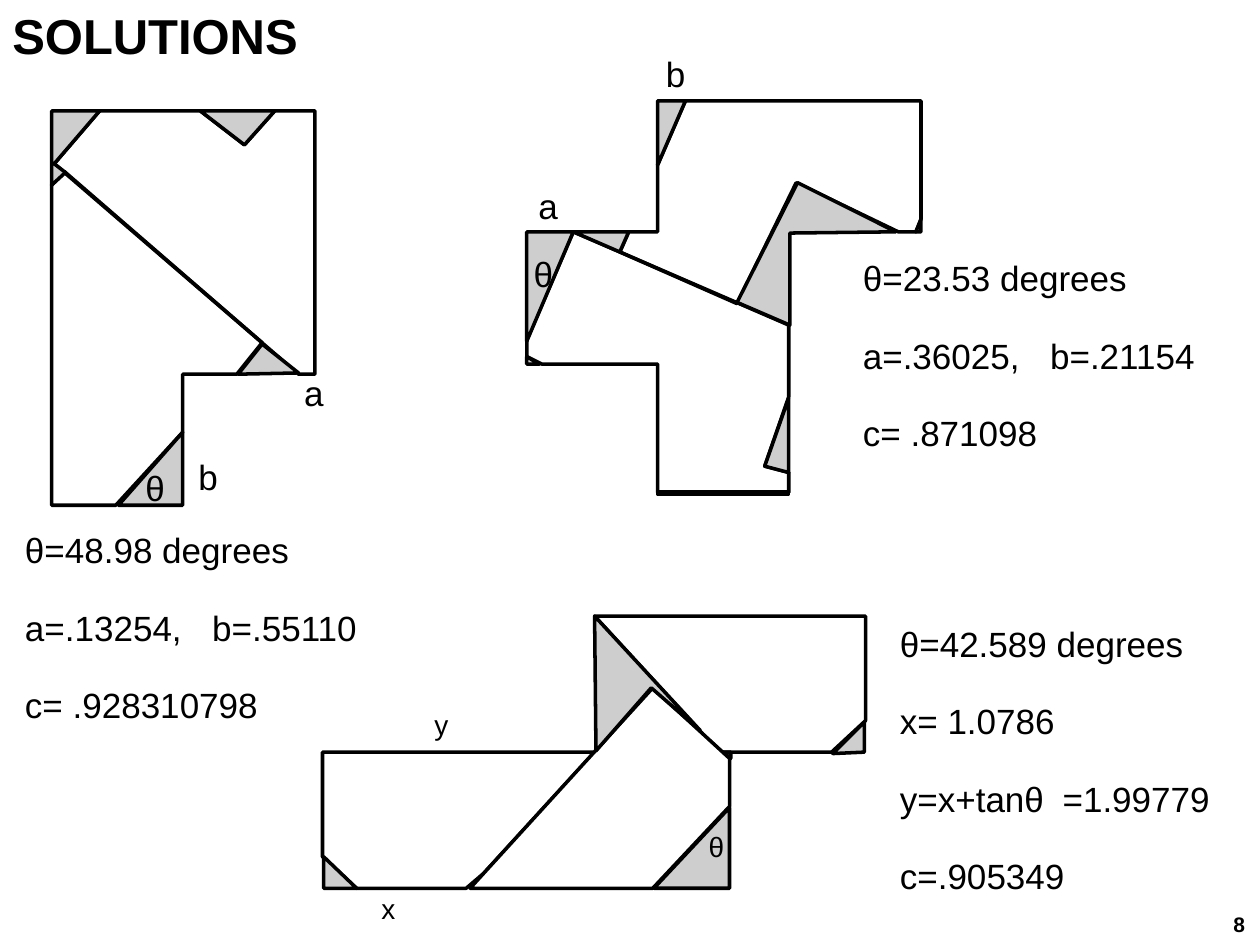
from dataclasses import dataclass

from lxml.etree import SubElement
from pptx import Presentation
from pptx.dml.color import RGBColor
from pptx.enum.text import MSO_ANCHOR, MSO_AUTO_SIZE, PP_ALIGN
from pptx.oxml.ns import qn
from pptx.util import Pt


@dataclass(frozen=True)
class Theme:
    font: str = "Arial"
    ink: RGBColor = RGBColor(0x00, 0x00, 0x00)
    paper: RGBColor = RGBColor(0xFF, 0xFF, 0xFF)
    overlap: RGBColor = RGBColor(0xCE, 0xCE, 0xCE)
    title: int = 28
    body: int = 20
    small: int = 16
    number: int = 12


theme = Theme()
deck = Presentation()
deck.slide_width, deck.slide_height = Pt(720), Pt(540)
page = deck.slides.add_slide(deck.slide_layouts[6])


def add_text(text, left, top, width, height, size=theme.body, bold=False, inset=7.5, gap=0, tab=None):
    box = page.shapes.add_textbox(Pt(left), Pt(top), Pt(width), Pt(height))
    frame = box.text_frame
    frame.word_wrap = True
    frame.auto_size = MSO_AUTO_SIZE.NONE
    frame.vertical_anchor = MSO_ANCHOR.TOP
    frame.margin_left, frame.margin_right = Pt(inset), Pt(0)
    frame.margin_top = frame.margin_bottom = Pt(inset / 2)
    for index, line in enumerate(text.split("\n")):
        para = frame.add_paragraph() if index else frame.paragraphs[0]
        para.alignment = PP_ALIGN.LEFT
        para.line_spacing = 0.9
        para.space_before = Pt(gap if index else 0)
        if "\t" in line:
            stops = SubElement(para._p.get_or_add_pPr(), qn("a:tabLst"))
            SubElement(stops, qn("a:tab"), pos=str(Pt(tab)), algn="l")
        span = para.add_run()
        span.text = line
        span.font.name = theme.font
        span.font.size = Pt(size)
        span.font.bold = bold
        span.font.color.rgb = theme.ink


def add_polygon(points, fill):
    corners = [(Pt(x), Pt(y)) for x, y in points]
    builder = page.shapes.build_freeform(*corners[0])
    builder.add_line_segments(corners[1:], close=True)
    shape = builder.convert_to_shape()
    shape.shadow.inherit = False
    shape.line.color.rgb = theme.ink
    shape.line.width = Pt(2)
    if fill is None:
        shape.fill.background()
    else:
        shape.fill.solid()
        shape.fill.fore_color.rgb = fill


chair_pieces = [
    [(31, 93.6), (170.6, 213.8), (180, 213.8), (180, 63.4), (157, 63.4), (139.7, 82.8), (114.5, 63.4), (56.9, 63.4)],
    [(66.2, 288.7), (29.5, 288.7), (29.5, 105.8), (36.7, 97.9), (149.8, 195.8), (135.4, 213.8), (104.4, 213.8),
     (104.4, 247)],
]
chair_overlaps = [
    [(136.1, 213.8), (149.8, 196.6), (170.6, 213.1)],
    [(104.4, 288.7), (104.4, 247), (67.7, 288.7)],
    [(157, 63.4), (139.7, 82.8), (114.5, 63.4)],
    [(29.5, 105.8), (37.4, 98.6), (31, 93.6), (56.9, 63.4), (29.5, 63.4)],
]
cross_pieces = [
    [(375.8, 281.5), (450.7, 281.5), (450.7, 270), (437, 266.4), (450.7, 226.8), (450.7, 185.8), (327.6, 132.5),
     (301, 194.4), (301, 203.8), (309.6, 208.1), (375.8, 208.1)],
    [(354.2, 144), (359.3, 132.5), (375.8, 132.5), (375.8, 94.3), (391.7, 57.6), (526.3, 57.6), (526.3, 125.3),
     (523.4, 132.5), (513.4, 132.5), (455, 104.4), (421.2, 173.5)],
]
cross_overlaps = [
    [(375.8, 57.6), (391.7, 57.6), (375.8, 94.3)],
    [(327.6, 132.5), (354.2, 144), (359.3, 132.5)],
    [(301, 132.5), (327.6, 132.5), (301, 195.1)],
    [(301, 208.1), (308.2, 208.1), (301, 203.8)],
    [(375.8, 282.2), (450.7, 282.2), (450.7, 280.8), (375.8, 280.8)],
    [(450.7, 270), (437, 266.4), (450.7, 227.5)],
    [(451.4, 185.8), (421.2, 172.8), (455.8, 104.4), (511.9, 132.5), (451.4, 133.2)],
    [(526.3, 132.5), (526.3, 125.3), (523.4, 132.5)],
]
step_pieces = [
    [(494.6, 411.8), (475.2, 429.8), (412.6, 429.8), (403.2, 421.2), (339.8, 352.1), (494.6, 352.1)],
    [(184.3, 489.6), (203.8, 507.6), (266.4, 507.6), (276.5, 499), (339.8, 429.8), (184.3, 429.8)],
    [(416.9, 433.4), (373, 393.1), (268.6, 507.6), (373, 507.6), (416.9, 460.8)],
]
step_overlaps = [
    [(339.8, 352.1), (400.3, 417.6), (372.2, 393.1), (340.6, 429.1)],
    [(416.9, 461.5), (416.9, 507.6), (373.7, 507.6)],
    [(185, 507.6), (185, 489.6), (203.8, 507.6)],
    [(475.9, 430.6), (493.9, 429.8), (493.9, 412.6)],
    [(417.6, 433.4), (417.6, 429.8), (413.3, 429.8)],
]
for polygons, fill in [
    (chair_pieces, None),
    (chair_overlaps, theme.overlap),
    (cross_pieces, None),
    (cross_overlaps, theme.overlap),
    (step_pieces, theme.paper),
    (step_overlaps, theme.overlap),
]:
    for polygon in polygons:
        add_polygon(polygon, fill)

for label, left, top in [
    ("θ", 75.6, 265.7), ("a", 166.3, 211), ("b", 105.8, 259.2),
    ("θ", 297.4, 143.3), ("a", 300.2, 104.4), ("b", 373, 28.8),
]:
    add_text(label, left, top, 26, 29.5)
add_text("θ", 397.4, 472.3, 23, 25.2, size=theme.small)
for label, left, top in [("x", 206.6, 506.2), ("y", 236.9, 401)]:
    add_text(label, left, top, 31, 28.8, size=theme.small, inset=11.4)

for solution, left, top, width, height, inset, tab in [
    ("θ=48.98 degrees\na=.13254,\tb=.55110\nc= .928310798", -0.7, 297.4, 221, 144.7, 15, 107),
    ("θ=23.53 degrees\na=.36025,\tb=.21154\nc= .871098", 478.1, 141.8, 221, 144.7, 15, 107),
    ("θ=42.589 degrees\nx= 1.0786\ny=x+tanθ\t=1.99779\nc=.905349", 497.5, 349.9, 216.7, 167.8, 16.7, 93),
]:
    add_text(solution, left, top, width, height, inset=inset, gap=22.7, tab=tab)

add_text("SOLUTIONS", 0, 3.6, 177, 37.4, size=theme.title, bold=True, inset=7.2)
add_text("8", 697.7, 519.1, 20.9, 20.2, size=theme.number, bold=True, inset=7.2)

deck.save("out.pptx")
